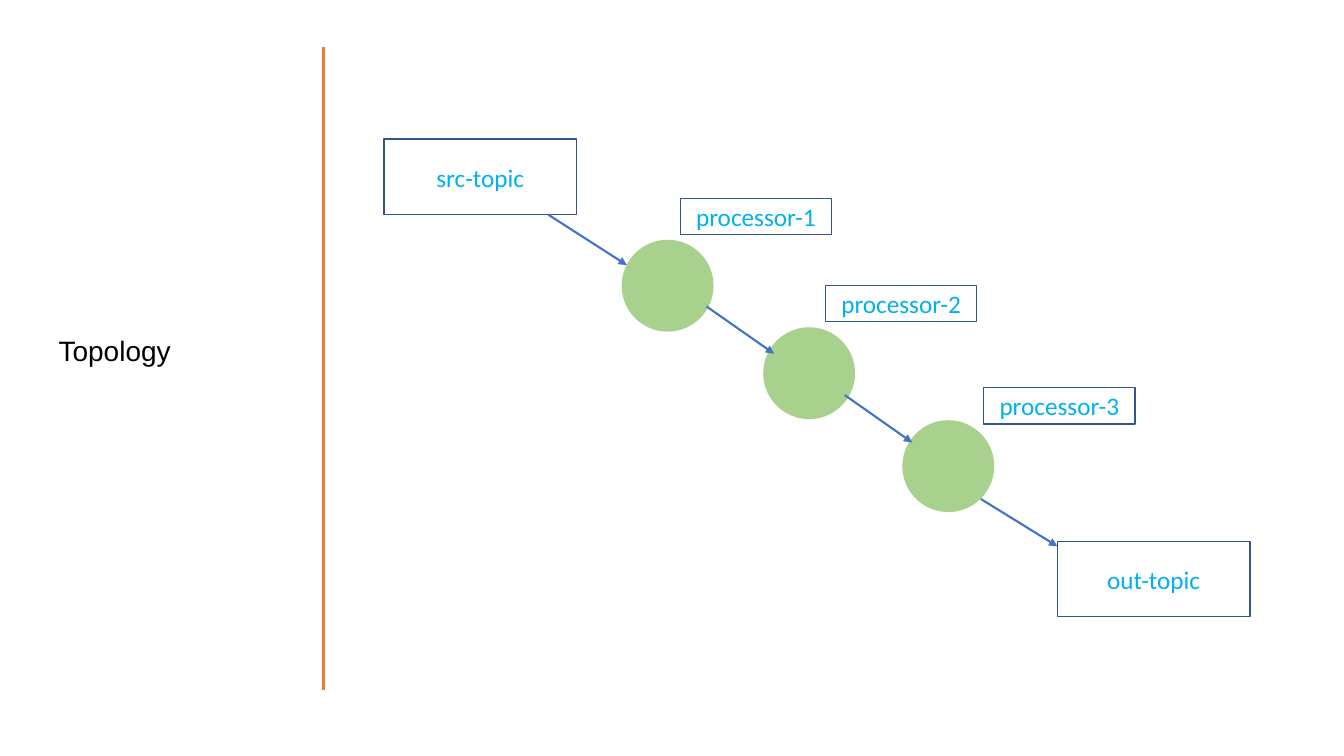
from dataclasses import dataclass

from lxml import etree
from pptx import Presentation
from pptx.dml.color import RGBColor
from pptx.enum import shapes as kinds, text as txt
from pptx.oxml import ns
from pptx.util import Pt

RECT = kinds.MSO_SHAPE.RECTANGLE
OVAL = kinds.MSO_SHAPE.OVAL


@dataclass
class Box:
    label: str
    left: float
    top: float
    width: float
    height: float


@dataclass
class Line:
    x1: float
    y1: float
    x2: float
    y2: float


TOPICS = [
    Box("src-topic", 274.3, 99.4, 137.5, 54),
    Box("out-topic", 755.3, 386.6, 137.5, 54),
]
NODES = [Box("", x, y, 65.6, 65.6)
         for x, y in [(444.1, 171.3), (545.2, 233.8), (644.6, 300.2)]]
NAMES = [Box(f"processor-{i}", x, y, 108, 25.9)
         for i, (x, y) in enumerate([(486, 141.7), (589.7, 203.8), (702.7, 277)], 1)]
ARROWS = [
    Line(391.7, 153.4, 447.8, 189.4),
    Line(504.7, 218.9, 553, 252.7),
    Line(603.4, 282.2, 651.6, 316.1),
    Line(700.6, 356.4, 755.3, 390.2),
]


def color(code: str) -> RGBColor:
    return RGBColor.from_string(code)


def style(para, font: str, size: float, code: str, align) -> None:
    para.alignment = align
    for run in para.runs:
        run.font.name = font
        run.font.size = Pt(size)
        run.font.color.rgb = color(code)


def add_box(parent, kind, box: Box):
    shape = parent.add_shape(kind, Pt(box.left), Pt(box.top),
                             Pt(box.width), Pt(box.height))
    shape.shadow.inherit = False
    return shape


def add_label(parent, box: Box) -> None:
    shape = add_box(parent, RECT, box)
    shape.fill.background()
    shape.line.color.rgb = color("325491")
    shape.line.width = Pt(1)
    frame = shape.text_frame
    frame.text = box.label
    frame.vertical_anchor = txt.MSO_ANCHOR.MIDDLE
    style(frame.paragraphs[0], "Calibri", 18, "00B0F0", txt.PP_ALIGN.CENTER)


def add_node(parent, box: Box) -> None:
    shape = add_box(parent, OVAL, box)
    shape.fill.solid()
    shape.fill.fore_color.rgb = color("A9D18E")
    shape.line.fill.background()


def add_line(parent, line: Line, code: str, width: float, arrow: bool = False) -> None:
    link = parent.add_connector(kinds.MSO_CONNECTOR.STRAIGHT, Pt(line.x1),
                                Pt(line.y1), Pt(line.x2), Pt(line.y2))
    link.line.color.rgb = color(code)
    link.line.width = Pt(width)
    if arrow:
        etree.SubElement(link.line._get_or_add_ln(), ns.qn("a:tailEnd"), type="triangle")
    etree.SubElement(link._element.spPr, ns.qn("a:effectLst"))


def set_title(title) -> None:
    title.left, title.top = Pt(34.6), Pt(234.7)
    title.width, title.height = Pt(164.9), Pt(31.7)
    frame = title.text_frame
    frame.text = "Topology"
    frame.word_wrap = True
    frame.auto_size = txt.MSO_AUTO_SIZE.NONE
    frame.vertical_anchor = txt.MSO_ANCHOR.MIDDLE
    style(frame.paragraphs[0], "Arial", 20, "000000", txt.PP_ALIGN.LEFT)


def main() -> None:
    deck = Presentation()
    deck.slide_width, deck.slide_height = Pt(960), Pt(540)
    slide = deck.slides.add_slide(deck.slide_layouts[5])
    set_title(slide.shapes.title)
    add_line(slide.shapes, Line(231.1, 33.8, 231.1, 493.2), "ED7D31", 2.25)

    flow = slide.shapes.add_group_shape().shapes
    for topic in TOPICS:
        add_label(flow, topic)
    for node in NODES:
        add_node(flow, node)
    for arrow in ARROWS:
        add_line(flow, arrow, "4472C4", 1.5, arrow=True)

    for name in NAMES:
        add_label(slide.shapes, name)
    deck.save("out.pptx")


if __name__ == "__main__":
    main()
